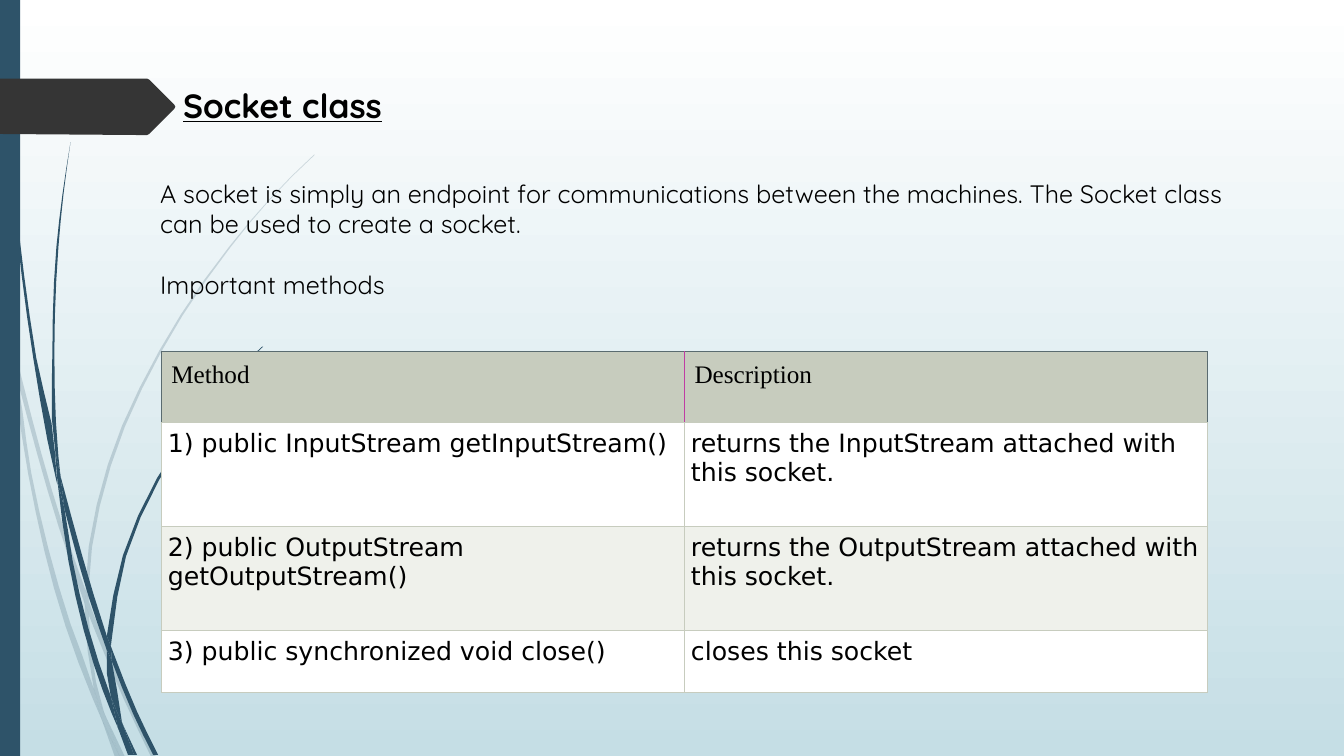
from dataclasses import dataclass
from math import dist

from lxml.etree import SubElement as Sub
from pptx import Presentation
from pptx.dml.color import RGBColor as RGB
from pptx.enum.shapes import MSO_SHAPE
from pptx.oxml.ns import qn
from pptx.util import Pt

BLACK = RGB(0x00, 0x00, 0x00)
WHITE = RGB(0xFF, 0xFF, 0xFF)
SKY = RGB(0xC5, 0xDE, 0xE5)
NAVY = RGB(0x2E, 0x53, 0x69)
COAL = RGB(0x35, 0x35, 0x35)
SAGE = RGB(0xC7, 0xCC, 0xBE)
MIST = RGB(0xEF, 0xF1, 0xEB)
PINK = RGB(0xC0, 0x3C, 0xA4)
SLATE = RGB(0x5A, 0x6B, 0x70)
UNIT = 0.72  # points in one step of the drawing grid
REACH = 45  # longest straight piece of a curve, in grid steps

Point = tuple[float, float]


@dataclass
class Blade:
    """A grass blade: one edge out, one edge back, as x y pairs on the grid."""
    out: str
    back: str


@dataclass
class Row:
    cells: tuple[str, str]
    high: float
    fill: RGB
    font: str = "DejaVu Sans"
    side: float = 4.7
    top: float = 5.04
    head: bool = False


PALE = [
    Blade("11 350 9 322 0 282", "0 299 10 344 11 350"),
    Blade("17 376 58 522 84 599", "85 586 62 520 14 345"),
    Blade("155 751 127 692 92 607 88 596", "88 610 123 694 150 751"),
    Blade("105 711 119 751", "124 751 105 711"),
    Blade("101 714 99 707 93 683 70 619 31 469 17 376 11 350",
          "11 350 28 470 65 621 92 693 101 714"),
    Blade("84 599 87 646 93 683 96 692 105 711",
          "105 711 103 706 91 646 88 610 88 608 84 599"),
    Blade("88 596 88 584 110 462 160 349 229 245 268 198 290 175 312 154",
          "312 153 289 175 268 197 228 244 158 348 107 461 85 584 85 586"),
    Blade("101 714 114 751", "119 751 101 714"),
    Blade("84 599 88 608 88 610", "88 596 85 586"),
    Blade("93 683 99 707 101 714 119 751", "119 751 105 711 96 692 93 683"),
]
DARK = [
    Blade("3 0 4 48 7 110 17 233 33 355 56 477 57 481",
          "55 457 55 453 36 355 19 232 8 109 5 48 4 0"),
    Blade("64 505 88 592 106 645", "106 633 106 631 93 590 60 472"),
    Blade("111 656 132 708 152 749", "157 749 136 706 113 649 110 641"),
    Blade("57 477 68 557 93 659 111 708 117 722",
          "117 722 116 717 110 691 98 657 72 556 64 505 57 477"),
    Blade("70 141 62 193 56 245 52 349 55 449 60 472",
          "60 472 58 453 54 349 58 245 63 193 70 141"),
    Blade("122 719 133 749", "136 749 122 719"),
    Blade("55 449 55 453 57 477 64 505", "64 505 60 472 55 449"),
    Blade("110 641 111 633 125 552 158 476 205 406 231 374 245 359 261 344",
          "260 344 245 358 231 373 204 405 156 474 122 551 106 631"),
    Blade("117 722 127 749", "131 749 117 722"),
    Blade("106 645 110 691 116 706 122 719",
          "122 719 121 716 111 656 109 651 106 645"),
    Blade("106 631 106 633 106 645 109 651 111 656",
          "111 656 110 641 106 631"),
    Blade("110 691 116 717 117 722 130 749", "133 749 122 719 116 706 110 691"),
]
TAG = "0 78 146 78 148 79 173 104 174 106 173 108 148 133 146 134 136 134 0 133"
ROWS = [
    Row(("Method", "Description"), 50.4, SAGE, "Times New Roman", 7.2, 6.6, True),
    Row(("1) public InputStream getInputStream()",
         "returns the InputStream attached with this socket."), 74.3, WHITE),
    Row(("2) public OutputStream getOutputStream()",
         "returns the OutputStream attached with this socket."), 74.3, MIST),
    Row(("3) public synchronized void close()", "closes this socket"), 44, WHITE),
]


def pairs(text: str) -> list[Point]:
    nums = [float(n) for n in text.split()]
    return list(zip(nums[::2], nums[1::2]))


def smooth(pts: list[Point]) -> list[Point]:
    """Run a spline through the points, its slopes weighted by distance."""
    if len(pts) < 3:
        return pts
    gaps = [dist(a, b) for a, b in zip(pts, pts[1:])]
    axes = []
    for vals in zip(*pts):
        rise = [(b - a) / g for a, b, g in zip(vals, vals[1:], gaps)]
        mids = [(g * s + h * r) / (g + h)
                for r, s, g, h in zip(rise, rise[1:], gaps, gaps[1:])]
        tans = [1.5 * rise[0] - mids[0] / 2, *mids, 1.5 * rise[-1] - mids[-1] / 2]
        line = [vals[0]]
        for i, gap in enumerate(gaps):
            steps = 1 + int(gap / REACH)
            for k in range(1, steps + 1):
                t = k / steps
                line.append((1 + 2 * t) * (1 - t) ** 2 * vals[i]
                            + t * (1 - t) ** 2 * gap * tans[i]
                            + t * t * (3 - 2 * t) * vals[i + 1]
                            + t * t * (t - 1) * gap * tans[i + 1])
        axes.append(line)
    return list(zip(*axes))


def paint(shape, color: RGB, alpha: int = 100) -> None:
    shape.shadow.inherit = False
    shape.line.fill.background()
    shape.fill.solid()
    shape.fill.fore_color.rgb = color
    if alpha < 100:
        tone = shape.fill._xPr.find(qn("a:solidFill"))[0]
        Sub(tone, qn("a:alpha"), val=str(alpha * 1000))


def outline(slide, pts: list[Point], color: RGB, alpha: int = 100) -> None:
    spots = [(Pt(x * UNIT), Pt(y * UNIT)) for x, y in pts]
    pen = slide.shapes.build_freeform(*spots[0])
    pen.add_line_segments(spots[1:], close=True)
    paint(pen.convert_to_shape(), color, alpha)


def write(para, text: str, *, size: float = 18, font: str = "Quicksand",
          bold: bool = False, under: bool = False, above: float = 0) -> None:
    run = para.add_run()
    run.text = text
    face = run.font
    face.size, face.name, face.bold, face.underline = Pt(size), font, bold, under
    face.color.rgb = BLACK
    para.space_before = Pt(above)


def frame(slide, x: float, y: float, w: float, h: float, wrap: bool = True):
    body = slide.shapes.add_textbox(Pt(x), Pt(y), Pt(w), Pt(h)).text_frame
    body.word_wrap = wrap
    return body


def border(cell, sides: dict[str, RGB]) -> None:
    props = cell._tc.get_or_add_tcPr()
    for side in "LRTB":
        line = Sub(props, qn(f"a:ln{side}"), w=str(Pt(0.6)))
        Sub(Sub(line, qn("a:solidFill")), qn("a:srgbClr"), val=str(sides[side]))


def methods(slide) -> None:
    """Draw the table of methods."""
    grid = slide.shapes.add_table(len(ROWS), 2, Pt(115.2), Pt(251.3),
                                  Pt(747.4), Pt(243)).table
    grid.first_row = grid.horz_banding = False
    for r, row in enumerate(ROWS):
        grid.rows[r].height = Pt(row.high)
        for c, text in enumerate(row.cells):
            cell = grid.cell(r, c)
            sides = dict.fromkeys("LRTB", SAGE)
            if row.head:
                sides |= {"T": SLATE, "L": PINK if c else SLATE,
                          "R": SLATE if c else PINK}
            border(cell, sides)
            cell.fill.solid()
            cell.fill.fore_color.rgb = row.fill
            cell.margin_left = cell.margin_right = Pt(row.side)
            cell.margin_top = cell.margin_bottom = Pt(row.top)
            write(cell.text_frame.paragraphs[0], text, font=row.font)


def main() -> None:
    deck = Presentation()
    deck.slide_width, deck.slide_height = Pt(960), Pt(540)
    slide = deck.slides.add_slide(deck.slide_layouts[6])
    back = slide.background.fill
    back.gradient()
    back.gradient_angle = 270
    for stop, color, place in zip(back.gradient_stops, (WHITE, SKY), (0, 1)):
        stop.color.rgb, stop.position = color, place

    for blades, alpha in ((PALE, 20), (DARK, 100)):
        for blade in blades:
            edges = smooth(pairs(blade.out)) + smooth(pairs(blade.back))
            outline(slide, edges, NAVY, alpha)
    band = slide.shapes.add_shape(MSO_SHAPE.RECTANGLE, 0, 0, Pt(14.4), Pt(540))
    paint(band, NAVY)
    outline(slide, pairs(TAG), COAL)

    title = frame(slide, 123.8, 56.9, 160.6, 36, wrap=False)
    write(title.paragraphs[0], "Socket class", size=24, bold=True, under=True)
    body = frame(slide, 107.3, 123.8, 800, 138.2)
    write(body.paragraphs[0], "A socket is simply an endpoint for communications "
          "between the machines. The Socket class can be used to create a socket.")
    write(body.add_paragraph(), "Important methods", above=22)
    methods(slide)
    deck.save("out.pptx")


if __name__ == "__main__":
    main()
